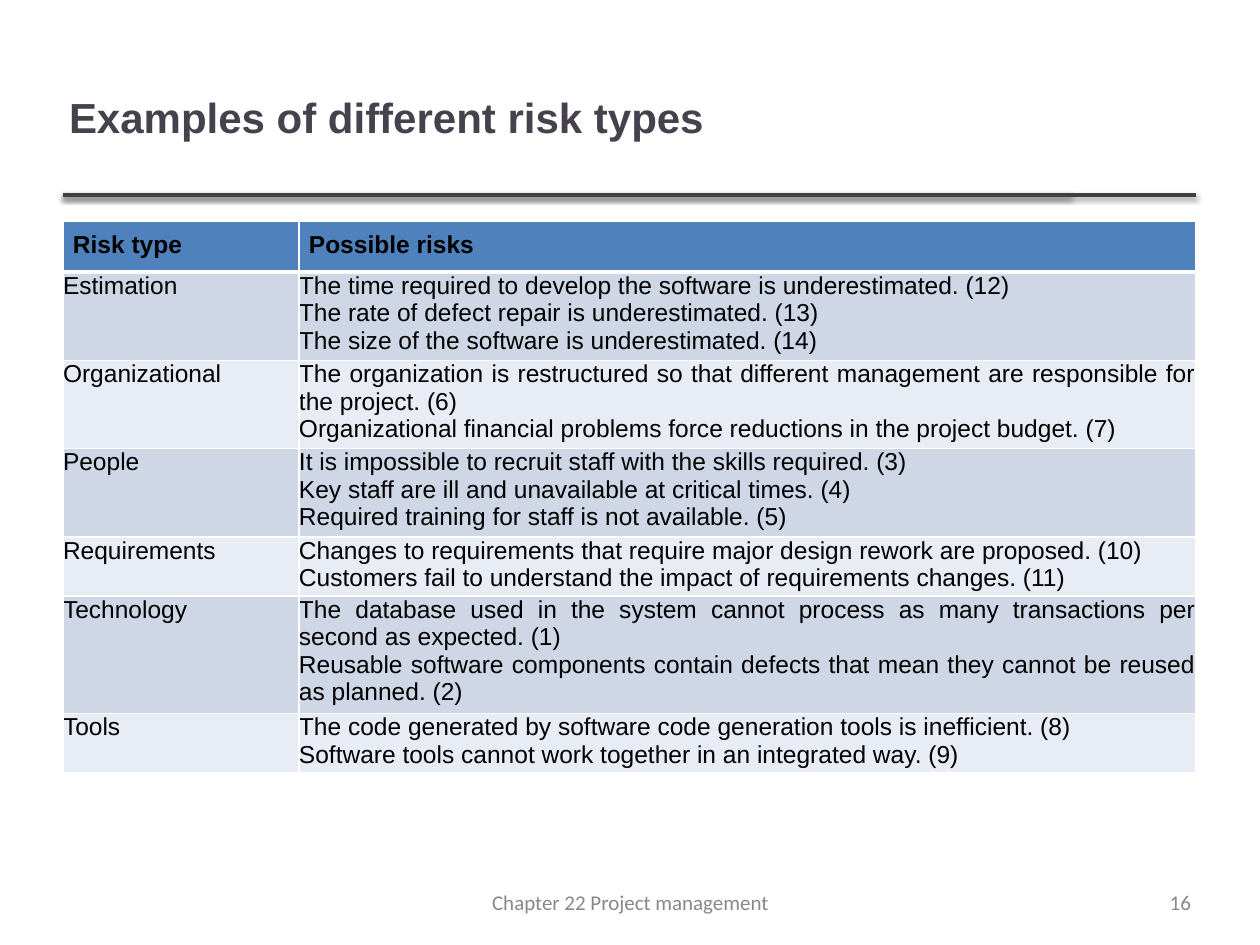
from lxml import etree
from pptx import Presentation
from pptx.dml.color import RGBColor
from pptx.enum.shapes import MSO_CONNECTOR
from pptx.enum.text import MSO_ANCHOR, PP_ALIGN
from pptx.oxml import parse_xml
from pptx.oxml.ns import nsdecls, qn
from pptx.util import Pt

PX = 914400 // 126
COLORS = {
    "rule": "404040",
    "title": "46424D",
    "footer": "888888",
    "text": "000000",
    "header": "4F81BD",
    "odd_row": "CFD7E7",
    "even_row": "E8ECF4",
    "border": "FFFFFF",
}
RISKS = [
    ("Risk type", ["Possible risks"]),
    ("Estimation", [
        "The time required to develop the software is underestimated. (12)",
        "The rate of defect repair is underestimated. (13)",
        "The size of the software is underestimated. (14)",
    ]),
    ("Organizational", [
        "The organization is restructured so that different management are responsible for the project. (6)",
        "Organizational financial problems force reductions in the project budget. (7)",
    ]),
    ("People", [
        "It is impossible to recruit staff with the skills required. (3)",
        "Key staff are ill and unavailable at critical times. (4)",
        "Required training for staff is not available. (5)",
    ]),
    ("Requirements", [
        "Changes to requirements that require major design rework are proposed. (10)",
        "Customers fail to understand the impact of requirements changes. (11)",
    ]),
    ("Technology", [
        "The database used in the system cannot process as many transactions per second as expected. (1)",
        "Reusable software components contain defects that mean they cannot be reused as planned. (2)",
    ]),
    ("Tools", [
        "The code generated by software code generation tools is inefficient. (8)",
        "Software tools cannot work together in an integrated way. (9)",
    ]),
]


def style_paragraph(paragraph, alignment, font_name, size, color, bold=False):
    paragraph.alignment = alignment
    font = paragraph.font
    font.name, font.size, font.bold = font_name, Pt(size), bold
    font.color.rgb = RGBColor.from_string(COLORS[color])


def add_label(text, left, top, width, height, wrap, *style):
    """Add a vertically centred one-line text box."""
    box = slide.shapes.add_textbox(left * PX, top * PX, width * PX, height * PX)
    frame = box.text_frame
    frame.word_wrap = wrap
    frame.vertical_anchor = MSO_ANCHOR.MIDDLE
    frame.margin_left = frame.margin_right = 6 * PX
    frame.margin_top = frame.margin_bottom = 6 * PX
    frame.text = text
    style_paragraph(frame.paragraphs[0], *style)


presentation = Presentation()
presentation.slide_width = 1260 * PX
presentation.slide_height = 945 * PX
slide = presentation.slides.add_slide(presentation.slide_layouts[6])

# Shadowed rules under the title
for right in (1070, 1196):
    rule = slide.shapes.add_connector(
        MSO_CONNECTOR.STRAIGHT, 63 * PX, 195 * PX, right * PX, 195 * PX)
    rule.line.width = Pt(2)
    rule.line.color.rgb = RGBColor.from_string(COLORS["rule"])
    rule.element.spPr.append(parse_xml(
        f'<a:effectLst {nsdecls("a")}>'
        '<a:outerShdw blurRad="38100" dist="20000" dir="5400000" rotWithShape="0">'
        '<a:srgbClr val="000000"><a:alpha val="38000"/></a:srgbClr>'
        '</a:outerShdw></a:effectLst>'))

# Title and footer
add_label("Chapter 22 Project management", 437, 885, 387, 34, True,
          PP_ALIGN.CENTER, "Calibri", 12, "footer")
add_label("Examples of different risk types", 63, 38, 1005, 158, True,
          PP_ALIGN.LEFT, "Arial", 24, "title", True)
add_label("16", 1162, 885, 35, 34, False,
          PP_ALIGN.RIGHT, "Calibri", 12, "footer")

# Risk table
row_height = 51
table = slide.shapes.add_table(
    len(RISKS), 2, 63 * PX, 221 * PX, 1133 * PX, len(RISKS) * row_height * PX).table
for column, width in zip(table.columns, (236, 897)):
    column.width = width * PX

for row_index, (risk_type, risks) in enumerate(RISKS):
    is_header = row_index == 0
    fill = "header" if is_header else "odd_row" if row_index % 2 else "even_row"
    margin = 10 * PX if is_header else 0
    borders = {"lnL": 1, "lnR": 1,
               "lnT": 3 if row_index == 1 else 1,
               "lnB": 3 if is_header else 1}
    for column_index, lines in enumerate(([risk_type], risks)):
        cell = table.cell(row_index, column_index)
        cell.margin_left = cell.margin_right = margin
        cell.margin_top = cell.margin_bottom = margin
        cell.text = "\n".join(lines)
        for paragraph in cell.text_frame.paragraphs:
            style_paragraph(paragraph, PP_ALIGN.JUSTIFY, "Arial", 14, "text", is_header)
        properties = cell._tc.get_or_add_tcPr()
        for side, points in borders.items():
            line = etree.SubElement(properties, qn(f"a:{side}"), w=str(Pt(points)))
            solid = etree.SubElement(line, qn("a:solidFill"))
            etree.SubElement(solid, qn("a:srgbClr"), val=COLORS["border"])
        cell.fill.solid()
        cell.fill.fore_color.rgb = RGBColor.from_string(COLORS[fill])

presentation.save("out.pptx")
